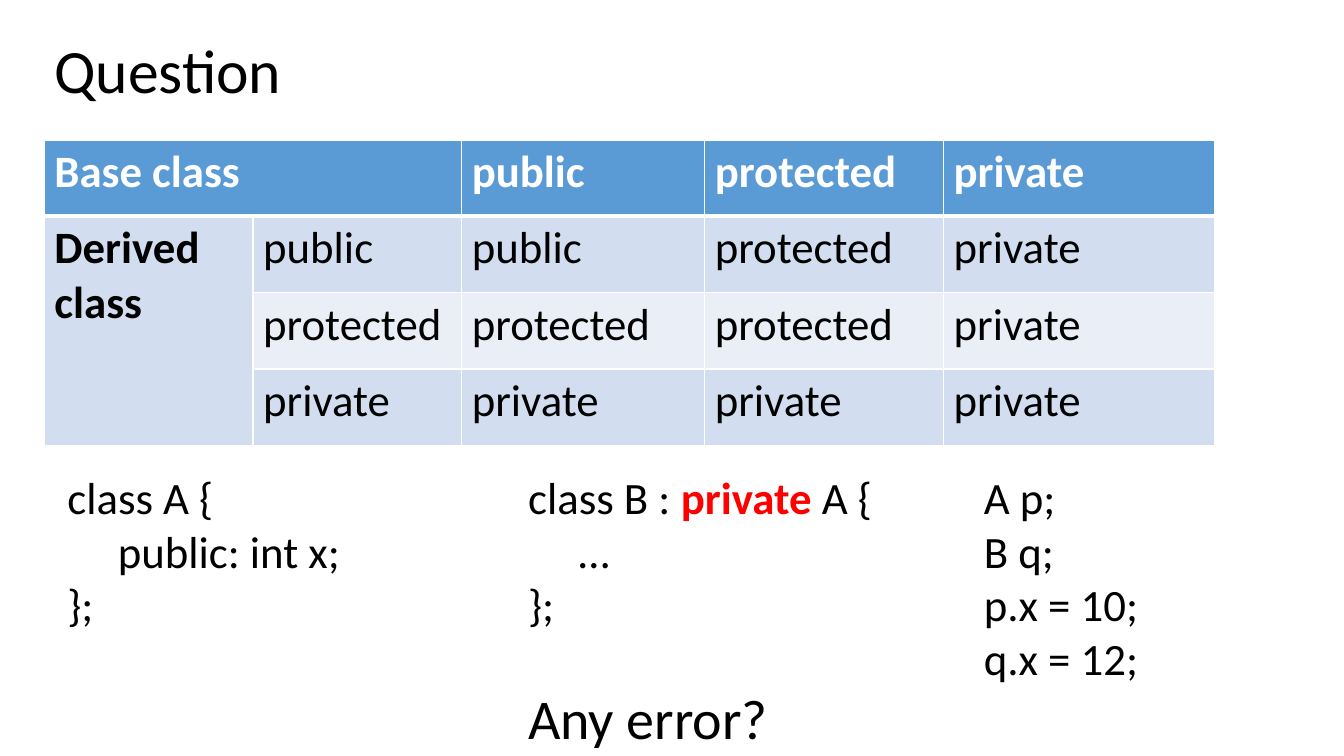
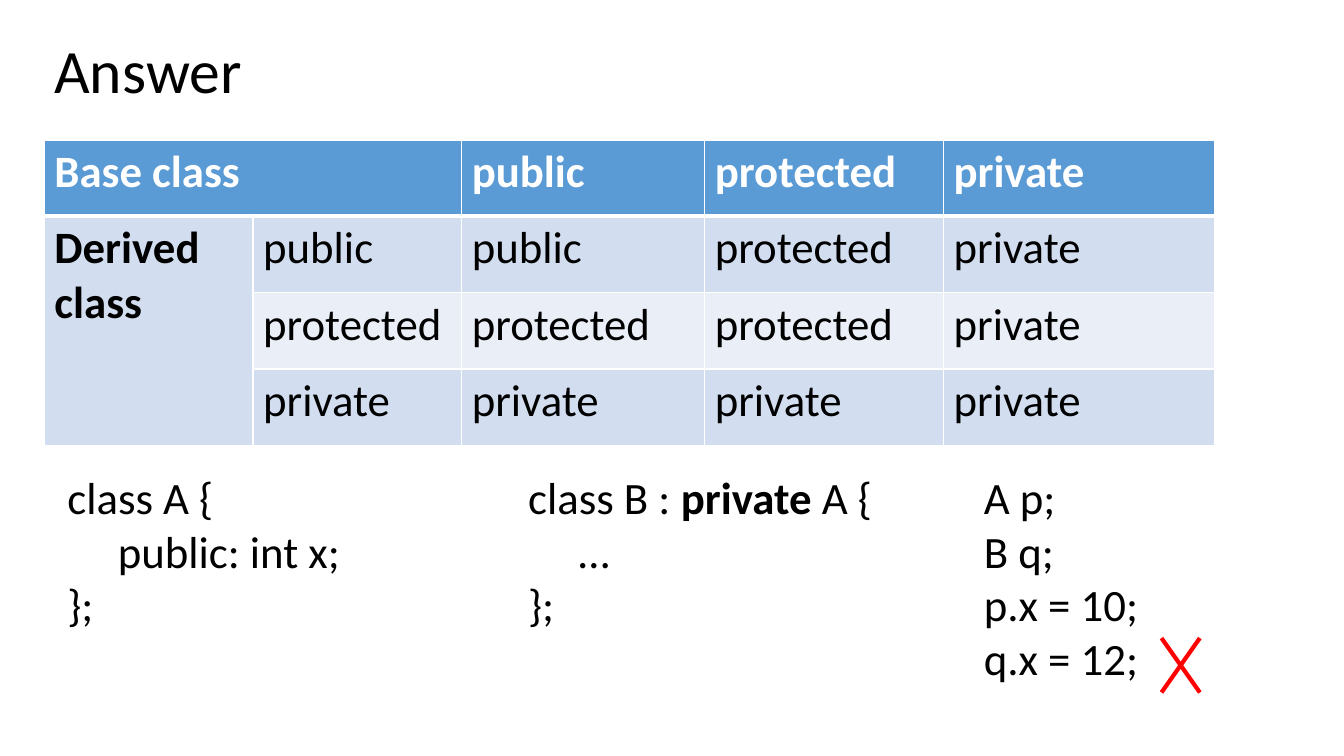
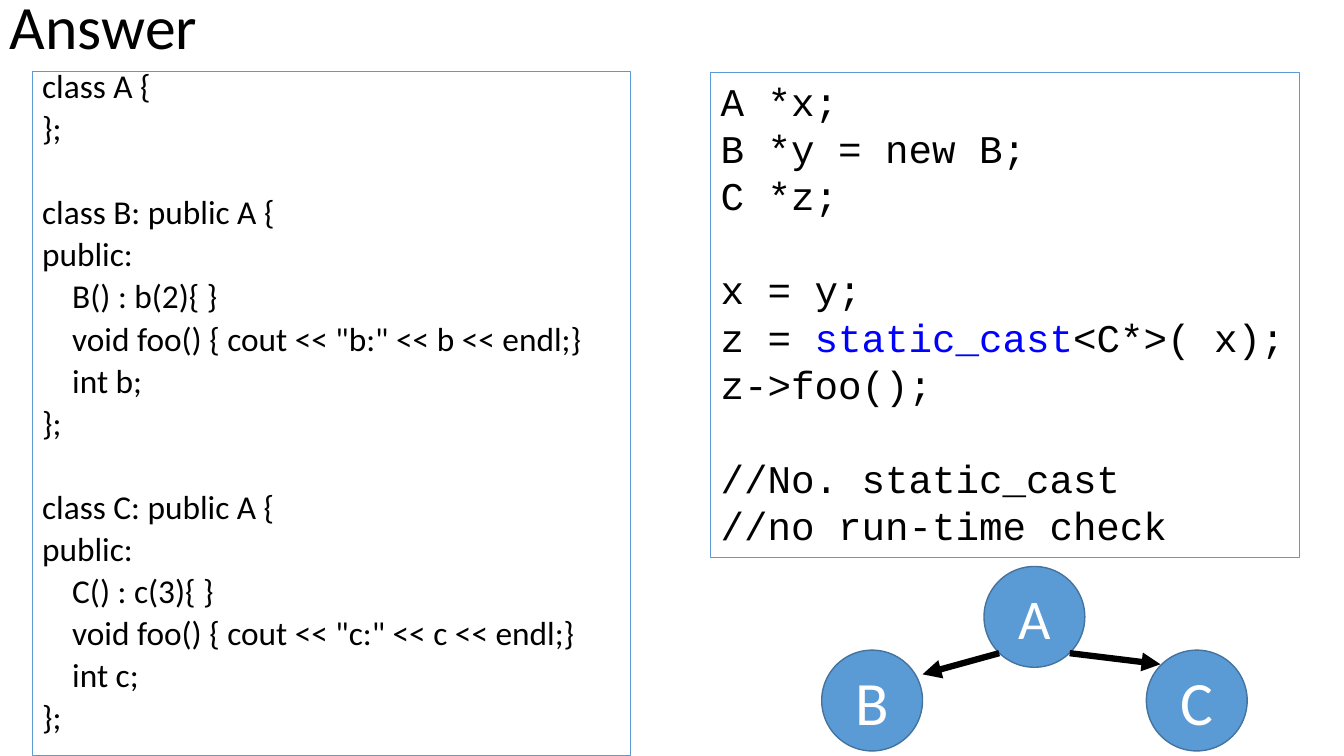
from lxml.etree import SubElement
from pptx import Presentation
from pptx.dml.color import RGBColor
from pptx.enum.shapes import MSO_CONNECTOR, MSO_SHAPE
from pptx.enum.text import MSO_ANCHOR, MSO_AUTO_SIZE, PP_ALIGN
from pptx.oxml.ns import qn
from pptx.util import Inches, Pt

COLORS = {
    "ink": "000000", "white": "FFFFFF", "blue": "5B9BD5", "edge": "43739E",
    "band": "D2DEEF", "pale": "EAEFF7", "red": "FF0000", "key": "0000FF",
}


def color(name):
    return RGBColor.from_string(COLORS[name])


def write(frame, text, size=32, font="Calibri", ink="ink", bold=False,
          align=PP_ALIGN.LEFT, line=None, gap=0, skip=0):
    wait = False
    first = True
    for row in text:
        if not row:
            wait = True
            continue
        para = frame.paragraphs[0] if first else frame.add_paragraph()
        para.alignment = align
        para.space_before = Pt(0 if first else skip if wait else gap)
        if line:
            para.line_spacing = line
        for part in [row] if isinstance(row, str) else row:
            words, look = (part, {}) if isinstance(part, str) else part
            run = para.add_run()
            run.text = words
            run.font.size = Pt(size)
            run.font.name = font
            run.font.bold = look.get("bold", bold)
            run.font.color.rgb = color(look.get("ink", ink))
        first = wait = False


class Deck:
    def __init__(self):
        self.file = Presentation()
        self.file.slide_width = Inches(13.33)
        self.file.slide_height = Inches(7.5)
        self.slide = None

    def page(self, title, left=0.44, top=0):
        self.slide = self.file.slides.add_slide(self.file.slide_layouts[6])
        box = self.slide.shapes.add_textbox(
            Inches(left), Inches(top), Inches(11.5), Inches(1.45))
        box.text_frame.word_wrap = True
        box.text_frame.vertical_anchor = MSO_ANCHOR.MIDDLE
        write(box.text_frame, [title], size=44, line=0.9)

    def label(self, text, left, top, wide, high, **look):
        box = self.slide.shapes.add_textbox(
            Inches(left), Inches(top), Inches(wide), Inches(high))
        box.text_frame.word_wrap = False
        box.text_frame.auto_size = MSO_AUTO_SIZE.SHAPE_TO_FIT_TEXT
        write(box.text_frame, text, **look)

    def shape(self, kind, text, left, top, wide, high, fill=None,
              edge="blue", width=0.75, anchor=MSO_ANCHOR.TOP, **look):
        form = self.slide.shapes.add_shape(
            kind, Inches(left), Inches(top), Inches(wide), Inches(high))
        form.shadow.inherit = False
        if fill:
            form.fill.solid()
            form.fill.fore_color.rgb = color(fill)
        else:
            form.fill.background()
        form.line.color.rgb = color(edge)
        form.line.width = Pt(width)
        form.text_frame.word_wrap = True
        form.text_frame.vertical_anchor = anchor
        write(form.text_frame, text, **look)

    def node(self, name, left, top, size):
        self.shape(MSO_SHAPE.OVAL, [name], left, top, 1, 1, fill="blue",
                   edge="edge", width=1, anchor=MSO_ANCHOR.MIDDLE,
                   size=size, ink="white", align=PP_ALIGN.CENTER)

    def line(self, start, end, ink, width, arrow=False):
        wire = self.slide.shapes.add_connector(
            MSO_CONNECTOR.STRAIGHT, *map(Inches, start + end))
        wire.line.color.rgb = color(ink)
        wire.line.width = Pt(width)
        if arrow:
            SubElement(wire.line._get_or_add_ln(), qn("a:tailEnd"),
                       type="triangle")
        SubElement(wire._element.spPr, qn("a:effectLst"))

    def cell(self, cell, text, fill, ink, bold, top, base):
        props = cell._tc.get_or_add_tcPr()
        for side, width in (("L", 1), ("R", 1), ("T", top), ("B", base)):
            rule = SubElement(props, qn("a:ln" + side), w=str(Pt(width)))
            paint = SubElement(rule, qn("a:solidFill"))
            SubElement(paint, qn("a:srgbClr"), val=COLORS["white"])
        cell.fill.solid()
        cell.fill.fore_color.rgb = color(fill)
        write(cell.text_frame, text, ink=ink, bold=bold)

    def table(self, rows, left, top, cols, highs):
        grid = self.slide.shapes.add_table(
            len(rows), len(cols), Inches(left), Inches(top),
            Inches(sum(cols)), Inches(sum(highs))).table
        grid.first_row = grid.horz_banding = False
        for col, wide in zip(grid.columns, cols):
            col.width = Inches(wide)
        for row, high in zip(grid.rows, highs):
            row.height = Inches(high)
        grid.cell(0, 0).merge(grid.cell(0, 1))
        grid.cell(1, 0).merge(grid.cell(3, 0))
        for r, row in enumerate(rows):
            head = r == 0
            fill = "blue" if head else "band" if r % 2 else "pale"
            for c, text in enumerate(row):
                self.cell(grid.cell(r, c), text.split("\n"), fill,
                          "white" if head else "ink", head or c == 0,
                          3 if r == 1 else 1, 3 if head else 1)


ACCESS = [
    ["Base class", "", "public", "protected", "private"],
    ["Derived\nclass", "public", "public", "protected", "private"],
    ["", "protected", "protected", "protected", "private"],
    ["", "private", "private", "private", "private"],
]


def lesson(deck, title, ink):
    deck.page(title)
    deck.table(ACCESS, 0.44, 1.39, [2.07, 2.07, 2.41, 2.37, 2.69],
               [0.75, 0.76, 0.76, 0.76])
    key = ("private", {"bold": True, "ink": ink})
    deck.label([["class B : ", key, " A {"], "\t…", "};"],
               5.14, 4.61, 3.64, 1.72)
    deck.label(["class A {", "\tpublic: int x;", "};"],
               0.57, 4.61, 3.47, 1.72)
    deck.label(["A p;", "B q;", "p.x = 10;", "q.x = 12;"],
               9.66, 4.61, 1.79, 2.26)


def child(name, value):
    var = name.lower()
    return [
        "", f"class {name}: public A {{", "public:",
        f"    {name}() : {var}({value}){{ }}",
        f'    void foo() {{ cout << "{var}:" << {var} << endl;}}',
        f"    int {var};", "};",
    ]


def casts(deck):
    deck.page("Answer", 0, -0.43)
    deck.shape(MSO_SHAPE.RECTANGLE,
               ["class A {", "};"] + child("B", 2) + child("C", 3),
               0.32, 0.71, 5.93, 6.79, size=23.8, line=0.7, gap=10, skip=40)
    cast = ("static_cast", {"ink": "key"})
    deck.shape(MSO_SHAPE.RECTANGLE, [
        "A *x;", "B *y = new B;", "C *z;", "",
        "x = y;", ["z = ", cast, "<C*>( x);"], "z->foo();", "",
        "//No. static_cast", "//no run-time check",
    ], 7.05, 0.72, 5.84, 4.81, size=28, font="Courier New", skip=33.6)
    for name, left, top, size in (
            ("B", 8.15, 6.45, 44), ("A", 9.76, 5.62, 40),
            ("C", 11.37, 6.45, 44)):
        deck.node(name, left, top, size)
    deck.line((9.91, 6.48), (9.15, 6.69), "ink", 4.5, arrow=True)
    deck.line((10.61, 6.48), (11.51, 6.59), "ink", 4.5, arrow=True)


def main():
    deck = Deck()
    lesson(deck, "Question", "red")
    deck.label(["Any error?"], 5.14, 6.73, 2.61, 0.77, size=40)
    lesson(deck, "Answer", "ink")
    for start, end in ((11.9, 11.52), (11.52, 11.9)):
        deck.line((start, 6.33), (end, 6.87), "red", 3)
    casts(deck)
    deck.file.save("out.pptx")


if __name__ == "__main__":
    main()
